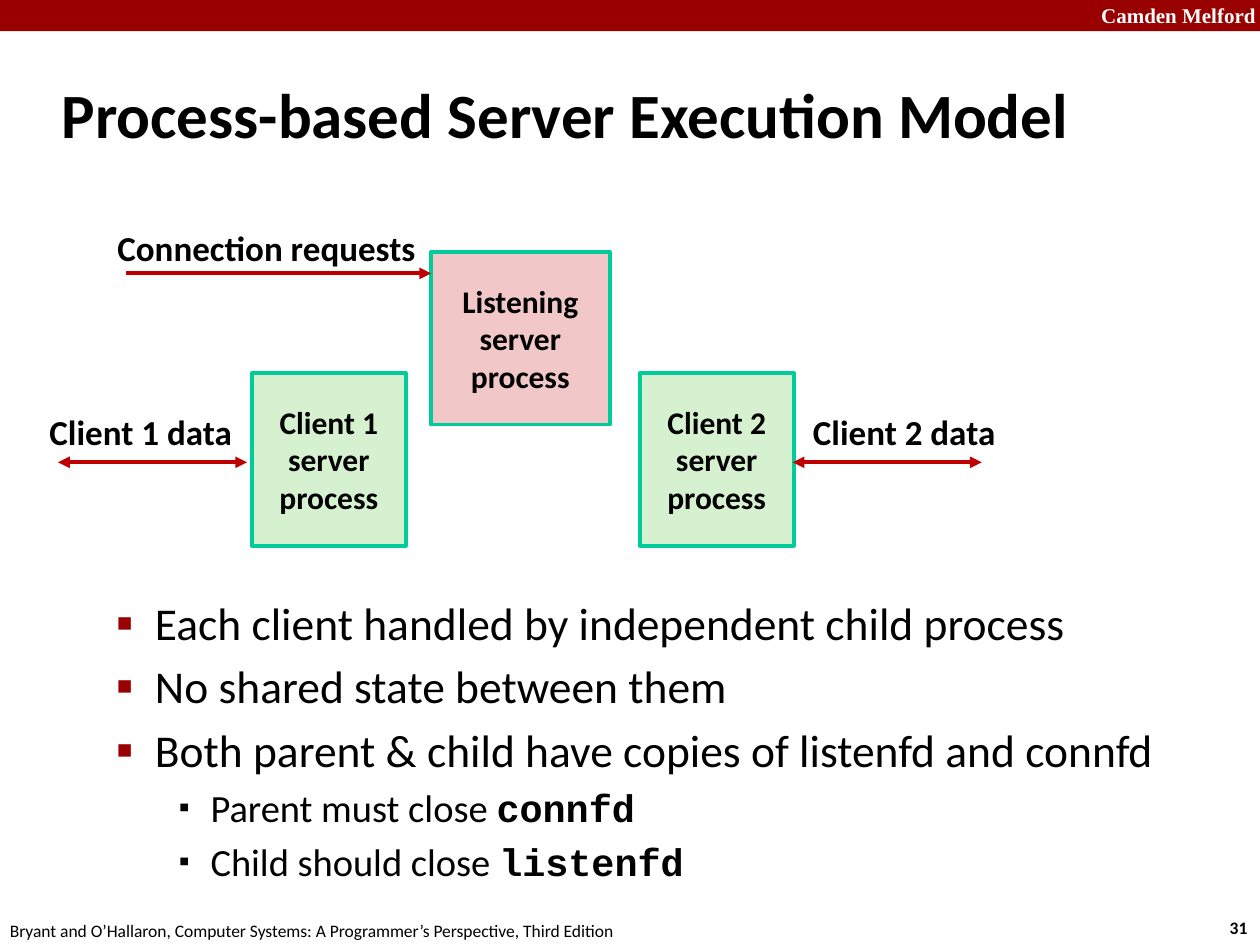
from lxml import etree
from pptx import Presentation
from pptx.dml.color import RGBColor
from pptx.enum.shapes import MSO_CONNECTOR, MSO_SHAPE
from pptx.enum.text import MSO_ANCHOR, MSO_AUTO_SIZE, PP_ALIGN
from pptx.oxml.ns import qn
from pptx.util import Cm, Pt

LEFT, MID, RIGHT = PP_ALIGN.LEFT, PP_ALIGN.CENTER, PP_ALIGN.RIGHT
CENTER, TOP = MSO_ANCHOR.MIDDLE, MSO_ANCHOR.TOP
FIXED = MSO_AUTO_SIZE.NONE
RECT, LINE = MSO_SHAPE.RECTANGLE, MSO_CONNECTOR.STRAIGHT
BLACK, WHITE, MAROON = "000000", "FFFFFF", "990000"
RED, TEAL, GREEN, PINK = "C00000", "00CC99", "D5F1CF", "F1C7C7"

TITLE = "Process-based Server Execution Model"
POINTS = [
    (1, "Each client handled by independent child process", ""),
    (1, "No shared state between them", ""),
    (1, "Both parent & child have copies of listenfd and connfd", ""),
    (2, "Parent must close ", "connfd"),
    (2, "Child should close ", "listenfd"),
]
LEVELS = {
    1: {"size": 26, "left": 2.06, "hang": 0.79, "color": MAROON, "scale": 110},
    2: {"size": 22, "left": 3.18, "hang": 0.64, "color": BLACK, "scale": 80},
}
BOXES = [
    ("Client 1", 5.08, 7.52, 3.1, GREEN),
    ("Client 2", 12.9, 7.52, 3.1, GREEN),
    ("Listening", 8.69, 5.08, 3.6, PINK),
]
BOX_H = 3.48
LABELS = [
    ("Connection requests", 2.03, 4.45, 6.6),
    ("Client 1 data", 0.69, 8.15, 4.24),
    ("Client 2 data", 16.08, 8.15, 4.24),
]
ARROWS = [
    (2.54, 8.69, 5.51, ["tailEnd"]),
    (1.17, 4.98, 9.32, ["headEnd", "tailEnd"]),
    (19.79, 15.98, 9.32, ["headEnd", "tailEnd"]),
]
EDGES = [
    ("Camden Melford", (21.95, -0.08, 3.63, 0.76),
     {"size": Pt(12), "name": "Times New Roman", "bold": True}, WHITE),
    ("31", (24.54, 18.36, 0.94, 0.69),
     {"size": Pt(10), "name": "Calibri", "bold": True}, BLACK),
    ("Bryant and O’Hallaron, Computer Systems: "
     "A Programmer’s Perspective, Third Edition", (-0.05, 18.42, 12.9, 0.69),
     {"size": Pt(10), "name": "Calibri", "bold": False}, BLACK),
]


def rgb(code):
    return RGBColor.from_string(code)


def apply(item, values):
    for name, value in values.items():
        setattr(item, name, value)


def font(size, bold=True, name="Calibri"):
    return {"size": Pt(size), "bold": bold, "name": name}


def add_run(para, text, style, color=BLACK):
    run = para.add_run()
    run.text = text
    apply(run.font, style)
    run.font.color.rgb = rgb(color)


def write(frame, lines, style, align=LEFT, color=BLACK):
    for i, text in enumerate(lines):
        para = frame.add_paragraph() if i else frame.paragraphs[0]
        para.alignment = align
        add_run(para, text, style, color)


def place(shape, *spot):
    apply(shape, dict(zip(("left", "top", "width", "height"), map(Cm, spot))))


def add_rect(slide, spot, fill, line=None):
    shape = slide.shapes.add_shape(RECT, *map(Cm, spot))
    shape.shadow.inherit = False
    shape.fill.solid()
    shape.fill.fore_color.rgb = rgb(fill)
    if line:
        shape.line.color.rgb = rgb(line)
        shape.line.width = Pt(2.25)
    else:
        shape.line.fill.background()
    return shape


def add_label(slide, text, spot, style, align=LEFT, color=BLACK):
    frame = slide.shapes.add_textbox(*map(Cm, spot)).text_frame
    frame.word_wrap = False
    write(frame, [text], style, align, color)


def add_arrow(slide, start, end, y, tips):
    line = slide.shapes.add_connector(LINE, Cm(start), Cm(y), Cm(end), Cm(y))
    line.line.color.rgb = rgb(RED)
    line.line.width = Pt(2.25)
    props = line._element.spPr
    stroke = props.find(qn("a:ln"))
    for tip in tips:
        etree.SubElement(stroke, qn("a:" + tip), type="triangle")
    etree.SubElement(props, qn("a:effectLst"))


def add_bullet(para, look):
    props = para._p.get_or_add_pPr()
    props.set("marL", str(Cm(look["left"])))
    props.set("indent", str(-Cm(look["hang"])))
    tint = etree.SubElement(props, qn("a:buClr"))
    etree.SubElement(tint, qn("a:srgbClr"), val=look["color"])
    etree.SubElement(props, qn("a:buSzPct"), val=str(look["scale"] * 1000))
    etree.SubElement(props, qn("a:buFont"), typeface="Arial")
    etree.SubElement(props, qn("a:buChar"), char="▪")


def add_points(frame):
    apply(frame, {"auto_size": FIXED, "vertical_anchor": TOP, "word_wrap": True})
    for i, (level, text, code) in enumerate(POINTS):
        look = LEVELS[level]
        size = look["size"]
        para = frame.add_paragraph() if i else frame.paragraphs[0]
        apply(para, {"level": level, "alignment": LEFT,
                     "space_before": Pt(size * 0.2)})
        add_bullet(para, look)
        add_run(para, text, font(size, False))
        if code:
            add_run(para, code, font(size, True, "Courier New"))


def main():
    deck = Presentation()
    apply(deck, {"slide_width": Cm(25.4), "slide_height": Cm(19.05)})
    slide = deck.slides.add_slide(deck.slide_layouts[1])
    title, body = slide.placeholders

    add_rect(slide, (0, 0, 25.4, 0.63), MAROON)
    for text, spot, style, color in EDGES:
        add_label(slide, text, spot, style, color=color)

    place(title, 0.99, 1.22, 21.08, 2.11)
    apply(title.text_frame, {"auto_size": FIXED, "vertical_anchor": CENTER})
    write(title.text_frame, [TITLE], font(36))
    place(body, 0.81, 11.86, 23.09, 5.64)
    add_points(body.text_frame)

    for name, x, y, wide, fill in BOXES:
        frame = add_rect(slide, (x, y, wide, BOX_H), fill, TEAL).text_frame
        apply(frame, {"word_wrap": False, "vertical_anchor": CENTER})
        write(frame, [name, "server", "process"], font(18), MID)
    for arrow in ARROWS:
        add_arrow(slide, *arrow)
    for text, x, y, wide in LABELS:
        add_label(slide, text, (x, y, wide, 1.12), font(20), RIGHT)

    deck.save("out.pptx")


if __name__ == "__main__":
    main()
